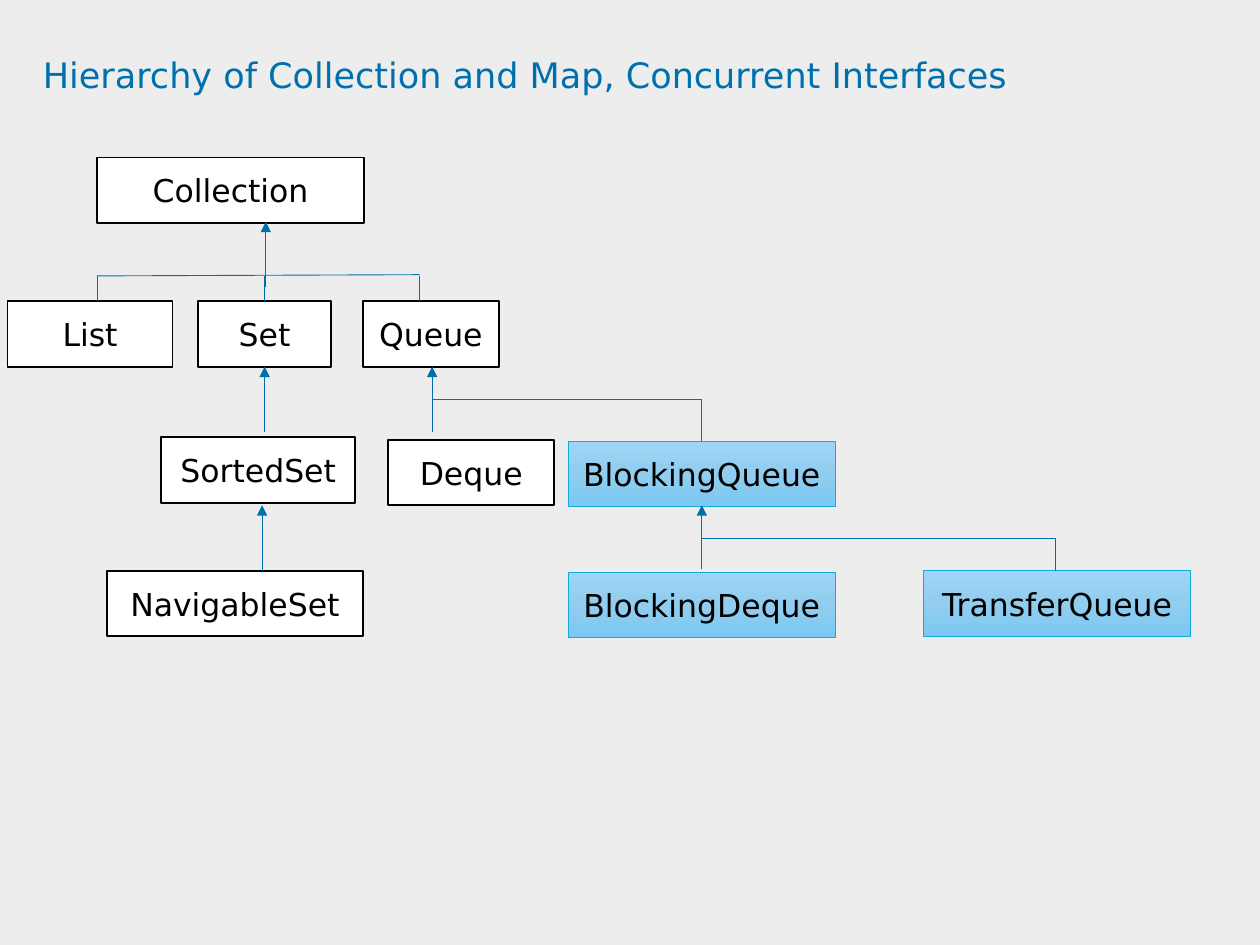
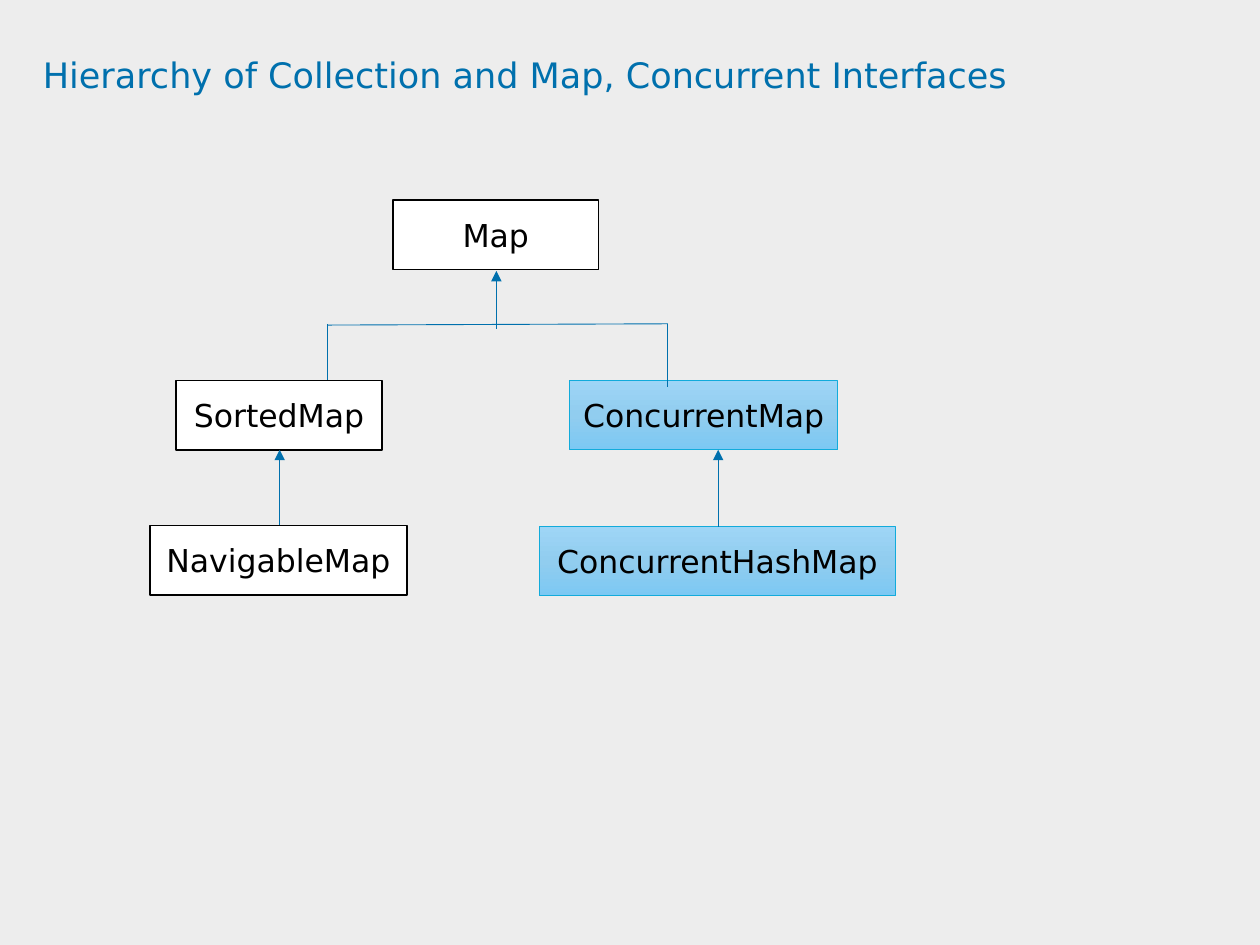
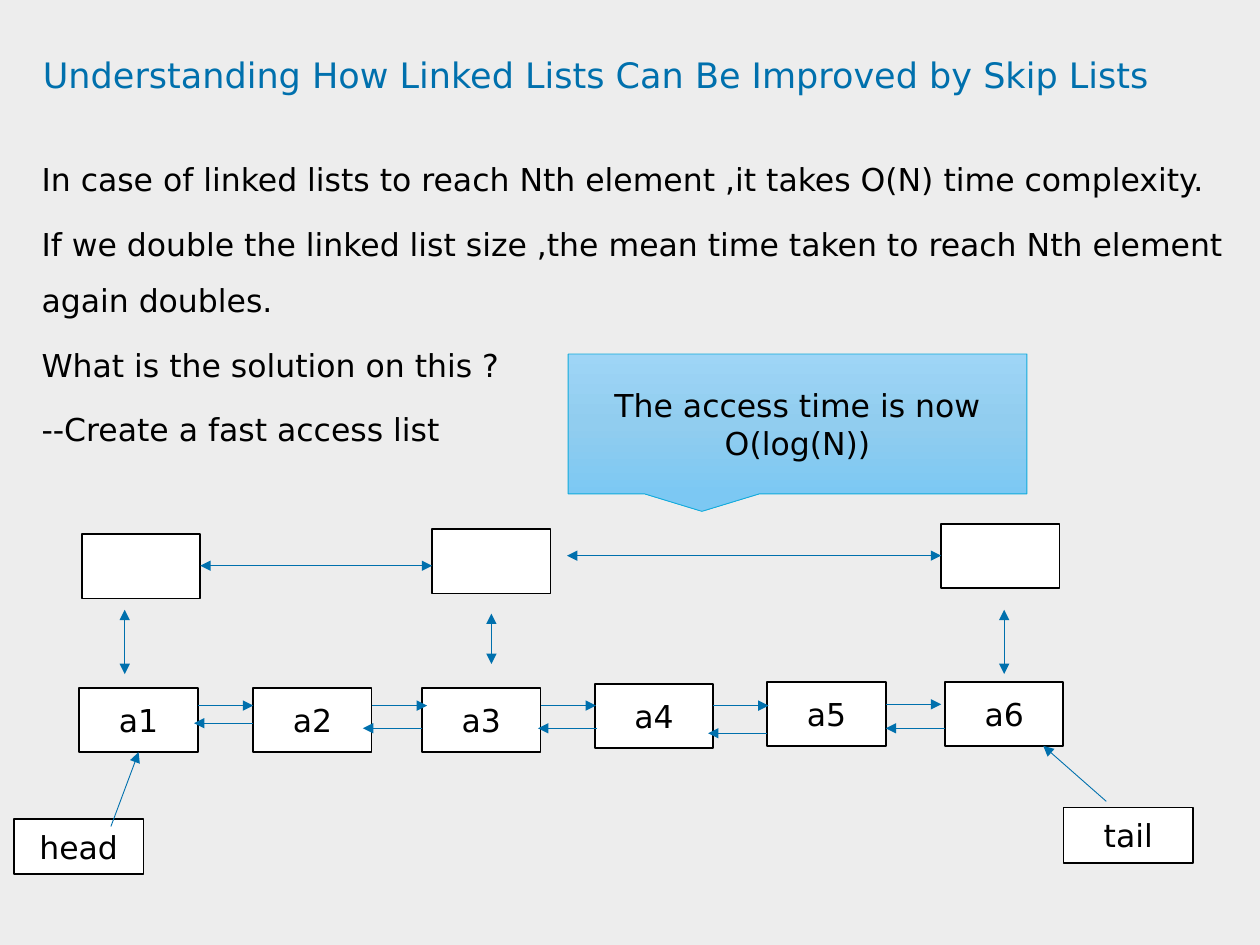
from copy import deepcopy
from dataclasses import dataclass

from lxml import etree
from pptx import Presentation
from pptx.dml.color import RGBColor
from pptx.enum.shapes import MSO_CONNECTOR, MSO_SHAPE
from pptx.enum.text import MSO_ANCHOR, MSO_AUTO_SIZE, PP_ALIGN
from pptx.oxml.ns import qn
from pptx.util import Inches, Pt

STRAIGHT = MSO_CONNECTOR.STRAIGHT
RECTANGLE, CALLOUT = MSO_SHAPE.RECTANGLE, MSO_SHAPE.RECTANGULAR_CALLOUT
TOP, MIDDLE = MSO_ANCHOR.TOP, MSO_ANCHOR.MIDDLE
LEFT, CENTER = PP_ALIGN.LEFT, PP_ALIGN.CENTER
NO_AUTOFIT = MSO_AUTO_SIZE.NONE

FONT = "DejaVu Sans"
COLORS = {
    "page": "EDEDED",
    "accent": "0070AD",
    "text": "000000",
    "box": "FFFFFF",
    "concurrent_line": "12ABDB",
}
GRADIENT = ((0, "9ED5F6"), (0.5, "91CDEF"), (1, "7CC8F3"))

TITLE_ONLY, TITLE_AND_BODY = 5, 1
HIERARCHY_TITLE = "Hierarchy of Collection and Map, Concurrent Interfaces"


@dataclass(frozen=True)
class Box:
    """A labelled shape, in inches; concurrent types have the blue gradient."""
    text: str
    left: float
    top: float
    width: float
    height: float
    concurrent: bool = False
    shape: int = RECTANGLE


@dataclass(frozen=True)
class Link:
    """A line in inches, with arrowheads at its start and end as asked."""
    x1: float
    y1: float
    x2: float
    y2: float
    start_arrow: bool = False
    end_arrow: bool = False


def arrow(x1: float, y1: float, x2: float, y2: float) -> Link:
    return Link(x1, y1, x2, y2, end_arrow=True)


def double_arrow(x1: float, y1: float, x2: float, y2: float) -> Link:
    return Link(x1, y1, x2, y2, start_arrow=True, end_arrow=True)


def rgb(name: str) -> RGBColor:
    return RGBColor.from_string(COLORS[name])


def set_font(paragraph, size: int, color: str) -> None:
    paragraph.font.name = FONT
    paragraph.font.size = Pt(size)
    paragraph.font.color.rgb = rgb(color)


def place(placeholder, left: float, top: float, width: float, height: float):
    """Move a placeholder and return its text frame, without margins."""
    placeholder.left, placeholder.top = Inches(left), Inches(top)
    placeholder.width, placeholder.height = Inches(width), Inches(height)
    frame = placeholder.text_frame
    frame.margin_left = frame.margin_right = 0
    frame.margin_top = frame.margin_bottom = 0
    frame.vertical_anchor = TOP
    frame.auto_size = NO_AUTOFIT
    return frame


def add_page(deck, layout: int, title: str):
    page = deck.slides.add_slide(deck.slide_layouts[layout])
    frame = place(page.shapes.title, 0.34, 0.46, 9.09, 0.94)
    frame.text = title
    paragraph = frame.paragraphs[0]
    paragraph.alignment = LEFT
    paragraph.line_spacing = 0.9
    set_font(paragraph, 20, "accent")
    return page


def fill_body(page, lines: list[str]) -> None:
    frame = place(page.placeholders[1], 0.33, 1.12, 9.67, 5.59)
    frame.text = "\n".join(lines)
    for paragraph in frame.paragraphs:
        properties = paragraph._p.get_or_add_pPr()
        properties.set("marL", "0")
        properties.set("indent", "0")
        etree.SubElement(properties, qn("a:buNone"))
        paragraph.line_spacing = 1.5
        paragraph.space_before = Pt(0)
        paragraph.space_after = Pt(4.5)
        set_font(paragraph, 18, "text")


def fill_gradient(shape) -> None:
    fill = shape.fill
    fill.gradient()
    fill.gradient_angle = 270
    stop_list = shape._element.spPr.find(".//" + qn("a:gsLst"))
    stop_list.append(deepcopy(stop_list[0]))
    for stop, (position, color) in zip(fill.gradient_stops, GRADIENT):
        stop.position = position
        stop.color.rgb = RGBColor.from_string(color)


def draw_box(page, box: Box) -> None:
    shape = page.shapes.add_shape(
        box.shape, Inches(box.left), Inches(box.top), Inches(box.width), Inches(box.height))
    shape.shadow.inherit = False
    if box.concurrent:
        fill_gradient(shape)
        shape.line.color.rgb = rgb("concurrent_line")
        shape.line.width = Pt(0.5)
    else:
        shape.fill.solid()
        shape.fill.fore_color.rgb = rgb("box")
        shape.line.color.rgb = rgb("text")
        shape.line.width = Pt(1)
    if box.text:
        frame = shape.text_frame
        frame.word_wrap = True
        frame.vertical_anchor = MIDDLE
        frame.text = box.text
        frame.paragraphs[0].alignment = CENTER
        set_font(frame.paragraphs[0], 18, "text")


def draw_link(page, link: Link) -> None:
    connector = page.shapes.add_connector(
        STRAIGHT, Inches(link.x1), Inches(link.y1), Inches(link.x2), Inches(link.y2))
    connector.line.color.rgb = rgb("accent")
    connector.line.width = Pt(0.5)
    properties = connector._element.spPr
    line = properties.find(qn("a:ln"))
    for tag, wanted in (("a:headEnd", link.start_arrow), ("a:tailEnd", link.end_arrow)):
        if wanted:
            etree.SubElement(line, qn(tag), type="triangle")
    etree.SubElement(properties, qn("a:effectLst"))


def draw_diagram(page, boxes: list[Box], links: list[Link]) -> None:
    for box in boxes:
        draw_box(page, box)
    for link in links:
        draw_link(page, link)


def build_collection_page(deck) -> None:
    height = 0.52
    boxes = [
        Box("Collection", 0.77, 1.25, 2.12, height),
        Box("List", 0.06, 2.39, 1.31, height),
        Box("Set", 1.57, 2.39, 1.06, height),
        Box("Queue", 2.88, 2.39, 1.08, height),
        Box("SortedSet", 1.28, 3.47, 1.54, height),
        Box("Deque", 3.08, 3.49, 1.32, height),
        Box("BlockingQueue", 4.51, 3.5, 2.12, height, concurrent=True),
        Box("NavigableSet", 0.85, 4.53, 2.03, height),
        Box("BlockingDeque", 4.51, 4.54, 2.12, height, concurrent=True),
        Box("TransferQueue", 7.33, 4.53, 2.12, height, concurrent=True),
    ]
    links = [
        Link(0.77, 2.19, 3.33, 2.18),
        *(Link(x, 2.19, x, 2.39) for x in (0.77, 2.1, 3.33)),
        arrow(2.11, 2.28, 2.11, 1.76),
        arrow(2.1, 3.43, 2.1, 2.91),
        arrow(2.08, 4.53, 2.08, 4.01),
        arrow(3.43, 3.43, 3.43, 2.91),
        Link(3.43, 3.17, 5.57, 3.17),
        Link(5.57, 3.5, 5.57, 3.17),
        arrow(5.57, 4.52, 5.57, 4.01),
        Link(8.38, 4.27, 5.57, 4.27),
        Link(8.38, 4.53, 8.38, 4.27),
    ]
    draw_diagram(add_page(deck, TITLE_ONLY, HIERARCHY_TITLE), boxes, links)


def build_map_page(deck) -> None:
    height = 0.55
    boxes = [
        Box("Map", 3.12, 1.59, 1.63, height),
        Box("SortedMap", 1.4, 3.02, 1.63, height),
        Box("NavigableMap", 1.19, 4.17, 2.04, height),
        Box("ConcurrentMap", 4.52, 3.02, 2.13, height, concurrent=True),
        Box("ConcurrentHashMap", 4.28, 4.18, 2.83, height, concurrent=True),
    ]
    links = [
        Link(2.6, 2.58, 5.3, 2.57),
        Link(2.6, 2.57, 2.6, 3.02),
        Link(5.3, 2.57, 5.3, 3.07),
        arrow(3.94, 2.61, 3.94, 2.15),
        arrow(2.22, 4.17, 2.22, 3.57),
        arrow(5.7, 4.18, 5.7, 3.57),
    ]
    draw_diagram(add_page(deck, TITLE_ONLY, HIERARCHY_TITLE), boxes, links)


def build_skip_list_page(deck) -> None:
    page = add_page(deck, TITLE_AND_BODY,
                    "Understanding How Linked Lists Can Be Improved by Skip Lists")
    fill_body(page, [
        "In case of linked lists to reach Nth element ,it takes O(N) time complexity.",
        "If we double the linked list size ,the mean time taken to reach Nth element "
        "again doubles.",
        "What is the solution on this ?",
        "--Create a fast access list",
    ])
    width, height = 0.94, 0.51
    list_nodes = ((0.63, 5.46), (2.01, 5.46), (3.35, 5.46),
                  (4.72, 5.43), (6.09, 5.41), (7.5, 5.41))
    fast_nodes = ((0.65, 4.24), (3.43, 4.2), (7.47, 4.16))
    boxes = [
        *(Box(f"a{number}", left, top, width, height)
          for number, (left, top) in enumerate(list_nodes, start=1)),
        *(Box("", left, top, width, height) for left, top in fast_nodes),
        Box("head", 0.11, 6.5, 1.03, 0.44),
        Box("tail", 8.44, 6.41, 1.03, 0.44),
        Box("The access time is now O(log(N))", 4.51, 2.81, 3.64, 1.11,
            concurrent=True, shape=CALLOUT),
    ]
    next_starts = ((1.57, 5.6), (2.95, 5.6), (4.29, 5.6), (5.66, 5.6), (7.03, 5.59))
    previous_starts = ((2.01, 5.74), (3.35, 5.78), (4.74, 5.78), (6.09, 5.82), (7.5, 5.78))
    links = [
        *(arrow(x, y, x + 0.44, y) for x, y in next_starts),
        *(arrow(x, y, x - 0.47, y) for x, y in previous_starts),
        arrow(0.88, 6.56, 1.1, 5.97),
        arrow(8.78, 6.36, 8.28, 5.92),
        double_arrow(1.59, 4.49, 3.43, 4.49),
        double_arrow(4.5, 4.41, 7.47, 4.41),
        double_arrow(0.99, 4.84, 0.99, 5.35),
        double_arrow(3.9, 4.87, 3.9, 5.27),
        double_arrow(7.97, 4.84, 7.97, 5.35),
    ]
    draw_diagram(page, boxes, links)


def main() -> None:
    deck = Presentation()
    deck.slide_width, deck.slide_height = Inches(10), Inches(7.5)
    background = deck.slide_master.background.fill
    background.solid()
    background.fore_color.rgb = rgb("page")
    build_collection_page(deck)
    build_map_page(deck)
    build_skip_list_page(deck)
    deck.save("out.pptx")


if __name__ == "__main__":
    main()
